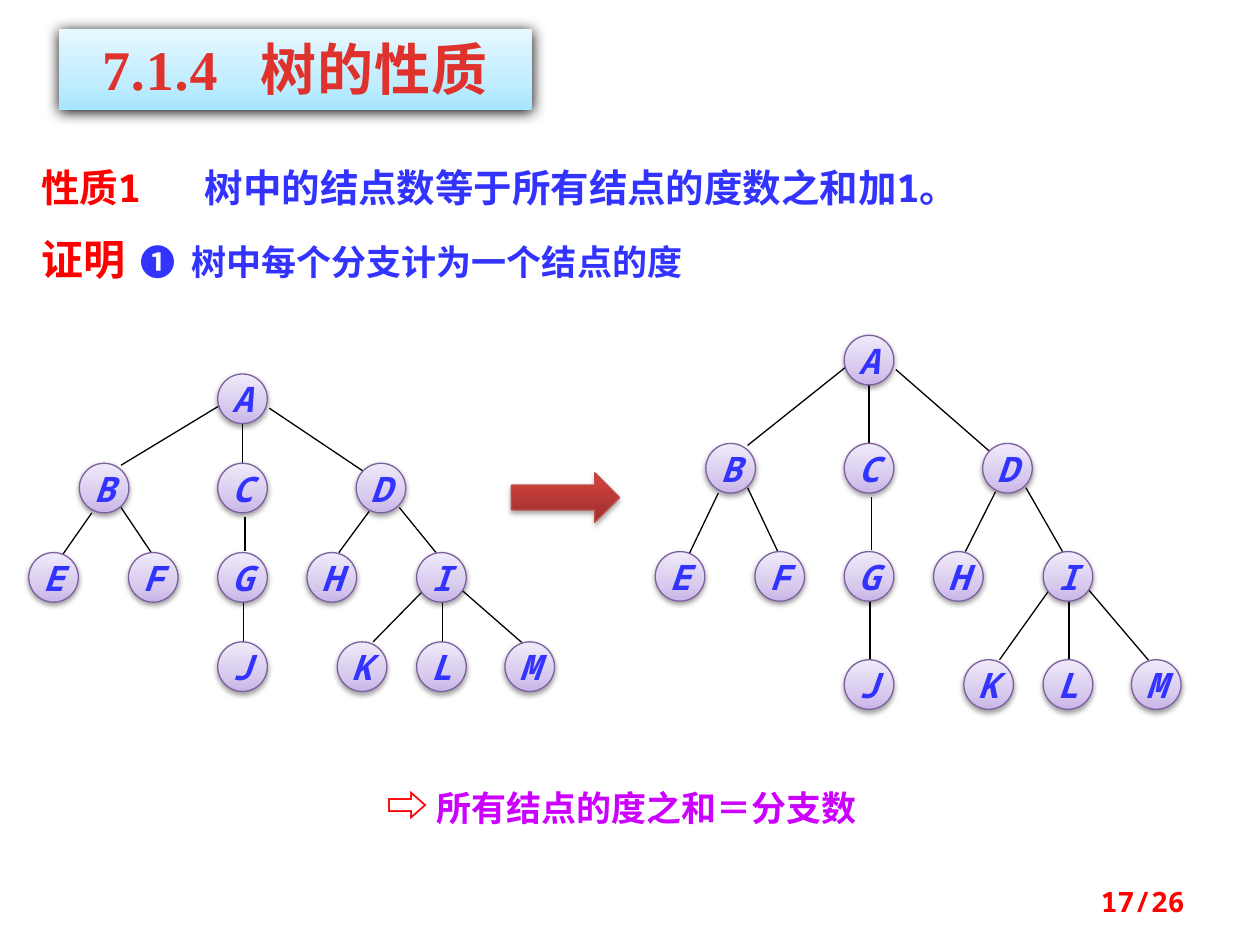
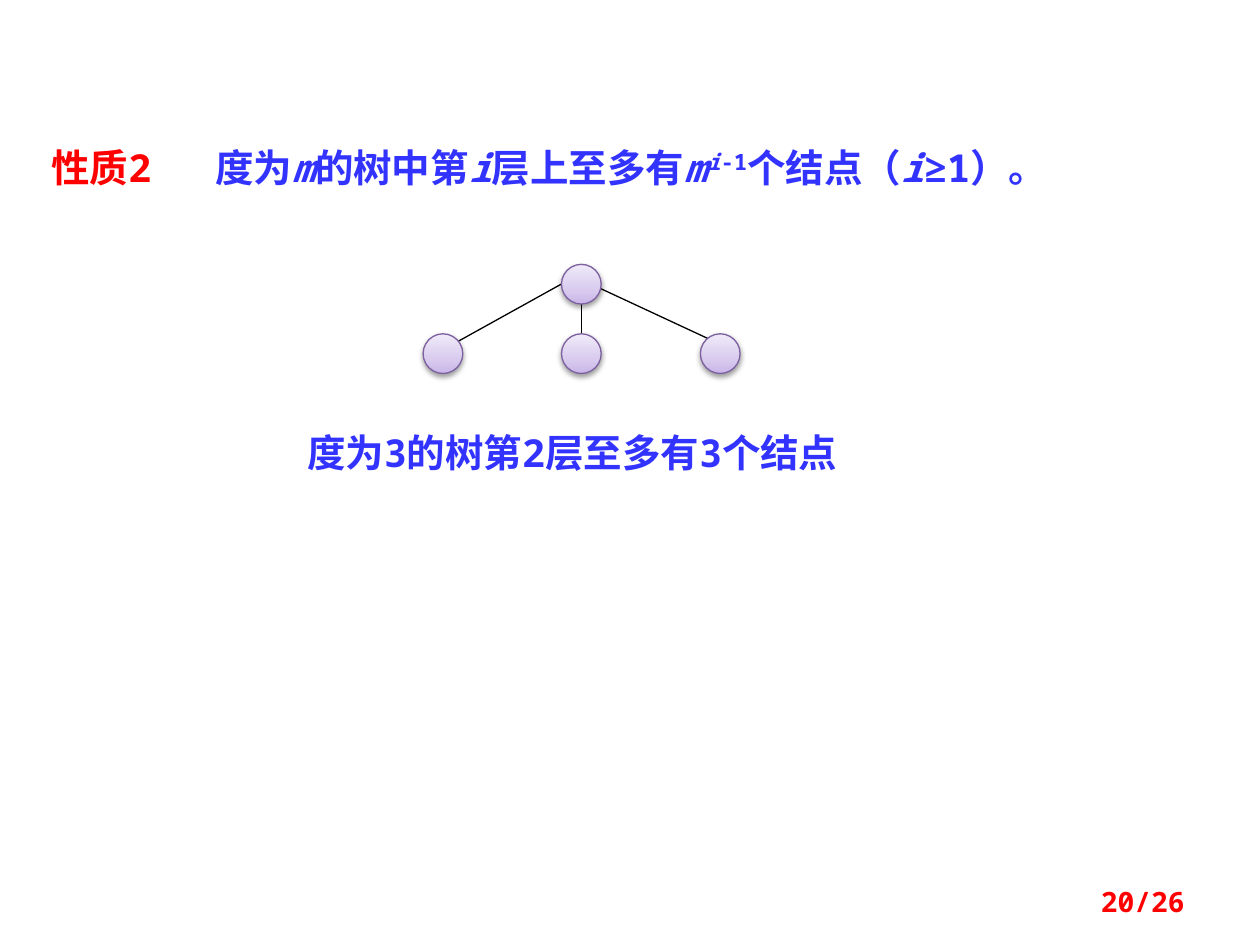
from lxml.etree import SubElement
from pptx import Presentation
from pptx.dml.color import RGBColor
from pptx.enum.shapes import MSO_CONNECTOR, MSO_SHAPE
from pptx.enum.text import MSO_ANCHOR, PP_ALIGN
from pptx.oxml.ns import qn
from pptx.util import Cm, Pt

HUE = {
    "red": "FF0000", "blue": "3333FF", "pink": "CC00FF", "title": "E0322D",
    "black": "000000", "rim": "7D60A0", "edge": "BF4C48",
}
BALL = [(0, "C9B5E8"), (35, "D8CBEE"), (100, "F0EAF9")]
BAND = [(0, "A7E6FF"), (35, "C1EDFF"), (100, "E7F8FF")]
ARROW = [(0, "9C2F2D"), (80, "CB3E3A"), (100, "CE3B37")]
MONO = "Noto Sans Mono"
GAP = 3.3

SPOTS = {
    "A": (3.81, 0), "B": (1.02, 1), "C": (3.81, 1), "D": (6.6, 1),
    "E": (0, 2), "F": (2.01, 2), "G": (3.81, 2), "H": (5.61, 2), "I": (7.82, 2),
    "J": (3.81, 3), "K": (6.22, 3), "L": (7.82, 3), "M": (9.6, 3),
}
LINKS = {
    "AB": (-0.47, 0.14, 0.34, -0.46), "AC": (0, 0.5, 0, -0.5),
    "AD": (0.54, 0.19, -0.37, -0.35), "BE": (-0.25, 0.5, 0.19, -0.47),
    "BF": (0.34, 0.39, -0.04, -0.5), "CG": (0.05, 0.58, 0.05, -0.53),
    "GJ": (0.02, 0.5, 0.02, -0.5), "DH": (-0.24, 0.47, 0.14, -0.5),
    "DI": (0.37, 0.39, -0.11, -0.5), "IK": (-0.39, 0.29, 0.22, -0.5),
    "IL": (0.02, 0.5, 0.02, -0.5), "IM": (0.39, 0.24, -0.14, -0.47),
}
FEW = {"A": (2.79, 0), "B": (0, 1), "C": (2.79, 1), "D": (5.59, 1)}
RAYS = {
    "AB": (-0.41, 0, 0.2, -0.19), "AC": (0, 0.21, 0, -0.19),
    "AD": (0.2, 0, 0, -0.19),
}


def rgb(key):
    return RGBColor.from_string(HUE[key])


def style(font, size, color=None, name=MONO):
    font.name, font.size, font.bold = name, Pt(size), True
    if color:
        font.color.rgb = rgb(color)


def add_tabs(para, stops):
    tabs = SubElement(para._p.get_or_add_pPr(), qn("a:tabLst"))
    for stop in stops:
        SubElement(tabs, qn("a:tab"), pos=str(Cm(stop)), algn="l")


def write(slide, box, runs, size, tabs=(), space=None):
    frame = slide.shapes.add_textbox(*map(Cm, box)).text_frame
    frame.word_wrap = True
    para = frame.paragraphs[0]
    if tabs:
        add_tabs(para, tabs)
    if space:
        para.line_spacing = space
    style(para.font, size)
    for text, color, *looks in runs:
        run = para.add_run()
        run.text = text
        run.font.color.rgb = rgb(color)
        for look in looks:
            if look == "italic":
                run.font.italic = True
            elif look == "super":
                run.font._element.set("baseline", "30000")
            else:
                run.font.size = Pt(look)
    return frame


def solid(slide, kind, box, stops, shade, rim=None):
    shape = slide.shapes.add_shape(kind, *map(Cm, box))
    shape.fill.gradient()
    shape.fill.gradient_angle = 90
    props = shape._element.spPr
    marks = props.find(qn("a:gradFill")).find(qn("a:gsLst"))
    for mark in list(marks):
        marks.remove(mark)
    for place, color in stops:
        mark = SubElement(marks, qn("a:gs"), pos=str(place * 1000))
        SubElement(mark, qn("a:srgbClr"), val=color)
    if rim:
        shape.line.color.rgb = rgb(rim)
        shape.line.width = Pt(0.75)
    else:
        shape.line.fill.background()
    shape.shadow.inherit = False
    blur, dist, alpha = shade
    glow = SubElement(
        props.find(qn("a:effectLst")), qn("a:outerShdw"), blurRad=str(Pt(blur)),
        dist=str(Pt(dist)), dir="5400000", rotWithShape="0")
    color = SubElement(glow, qn("a:srgbClr"), val=HUE["black"])
    SubElement(color, qn("a:alpha"), val=str(alpha * 1000))
    return shape


def link(slide, ends):
    line = slide.shapes.add_connector(MSO_CONNECTOR.STRAIGHT, *map(Cm, ends))
    line.line.color.rgb = rgb("black")
    line.line.width = Pt(0.75)
    SubElement(line._element.spPr, qn("a:effectLst"))


def tree(slide, left, top, step, spots, links, size, named=True):
    mids = {
        name: (left + x + size / 2, top + row * step + size / 2)
        for name, (x, row) in spots.items()
    }
    for (start, end), (ax, ay, bx, by) in links.items():
        (sx, sy), (ex, ey) = mids[start], mids[end]
        link(slide, (sx + ax, sy + ay, ex + bx, ey + by))
    for name, (x, y) in mids.items():
        box = (x - size / 2, y - size / 2, size, size)
        node = solid(slide, MSO_SHAPE.OVAL, box, BALL, (3.1, 1.6, 38), "rim")
        if named:
            frame = node.text_frame
            frame.word_wrap = False
            para = frame.paragraphs[0]
            para.text = name
            para.alignment = PP_ALIGN.CENTER
            style(para.font, 20, "blue")
            para.font.italic = True


def title(slide, box, text):
    band = solid(slide, MSO_SHAPE.RECTANGLE, box, BAND, (8.5, 1, 100))
    frame = band.text_frame
    frame.vertical_anchor = MSO_ANCHOR.TOP
    frame.margin_left = Cm(0.87)
    para = frame.paragraphs[0]
    para.text = text
    para.alignment = PP_ALIGN.LEFT
    add_tabs(para, [3.2])
    style(para.font, 32, "title", "Times New Roman")
    para.runs[0].font._element.set("spc", "50")


def footer(slide, text):
    frame = write(slide, (18.21, 17.65, 5.92, 1.02), [(text, "red")], 16)
    frame.vertical_anchor = MSO_ANCHOR.MIDDLE
    frame.paragraphs[0].alignment = PP_ALIGN.RIGHT


def proof(slide):
    title(slide, (1.19, 0.58, 9.53, 1.63), "7.1.4\t树的性质")
    write(slide, (0.58, 2.9, 20.04, 1.47), [
        ("性质1\t", "red"),
        ("树中的结点数等于所有结点的度数之和加1。", "blue"),
    ], 22, [GAP], 1.3)
    write(slide, (0.58, 4.47, 14.68, 1.4), [
        ("证明", "red", 24),
        ("\t❶\t树中每个分支计为一个结点的度", "blue"),
    ], 20, [2, 3.03], Pt(32))
    tree(slide, 0.58, 7.54, 1.8, SPOTS, LINKS, 1)
    tree(slide, 13.21, 6.76, 2.18, SPOTS, LINKS, 1)
    solid(slide, MSO_SHAPE.RIGHT_ARROW, (10.31, 9.53, 2.18, 1), ARROW,
          (3.1, 1.8, 35), "edge")
    write(slide, (7.54, 15.47, 11.71, 1.4), [
        ("⇨", "red", 24), (" ", "blue"), ("所有结点的度之和＝分支数", "pink"),
    ], 20, space=Pt(32))
    footer(slide, "17/26")


def level(slide):
    write(slide, (0.79, 2.77, 23.7, 1.19), [
        ("性质2\t", "red"), ("度为", "blue"), ("m", "blue", "italic"),
        ("的树中第", "blue"), ("i", "blue", "italic"), ("层上至多有", "blue"),
        ("m", "blue", "italic"), ("i", "blue", "italic", "super"),
        ("-1", "blue", "super"), ("个结点（", "blue"),
        ("i", "blue", "italic"), ("≥1）。", "blue"),
    ], 22, [GAP])
    tree(slide, 8.53, 5.33, 1.4, FEW, RAYS, 0.8, named=False)
    write(slide, (5.94, 8.53, 11.71, 1.19),
          [("度为3的树第2层至多有3个结点", "blue")], 22)
    footer(slide, "20/26")


def main():
    deck = Presentation()
    deck.slide_width, deck.slide_height = Cm(25.4), Cm(19.05)
    for build in (proof, level):
        build(deck.slides.add_slide(deck.slide_layouts[6]))
    deck.save("out.pptx")


if __name__ == "__main__":
    main()
